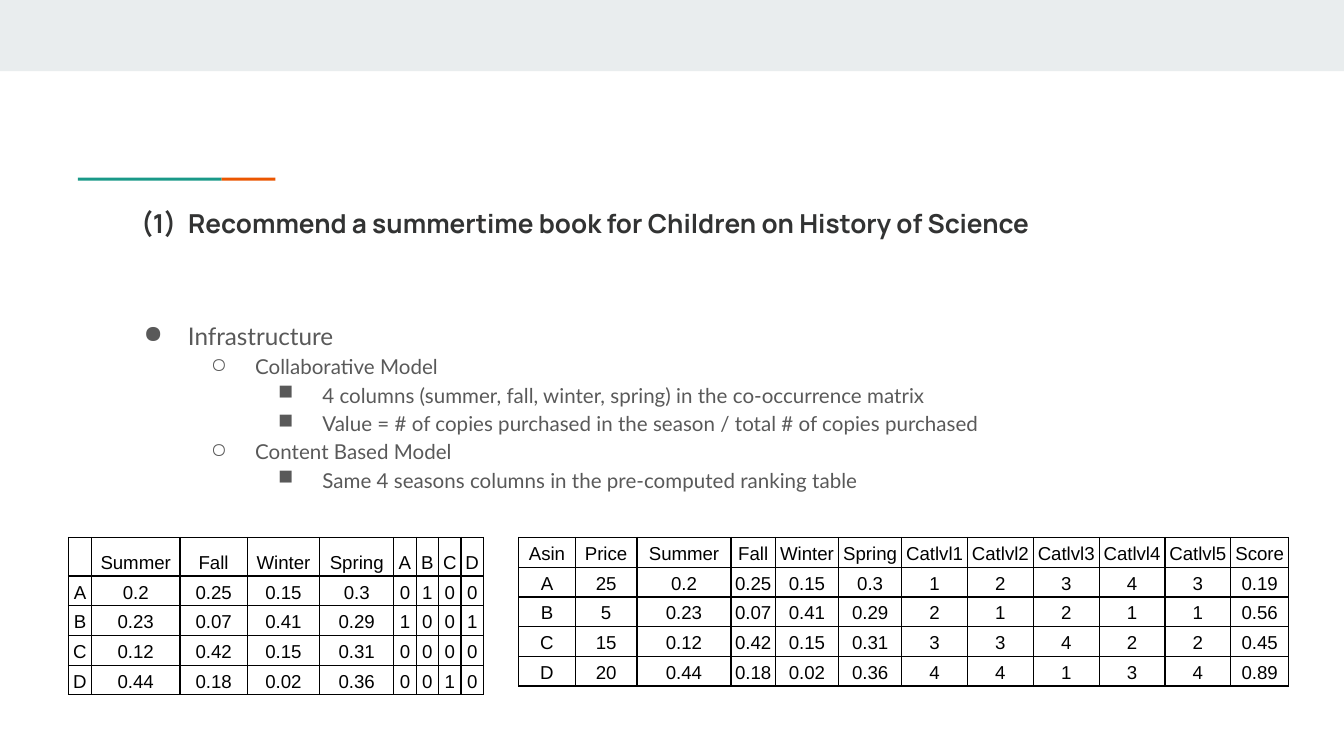
from dataclasses import dataclass

from lxml import etree
from pptx import Presentation
from pptx.dml.color import RGBColor
from pptx.enum.shapes import MSO_SHAPE
from pptx.enum.text import MSO_ANCHOR, MSO_AUTO_SIZE, PP_ALIGN
from pptx.oxml.ns import qn
from pptx.util import Inches, Pt

RECTANGLE = MSO_SHAPE.RECTANGLE
TOP, BOTTOM = MSO_ANCHOR.TOP, MSO_ANCHOR.BOTTOM
NO_AUTOFIT = MSO_AUTO_SIZE.NONE
LEFT, CENTER = PP_ALIGN.LEFT, PP_ALIGN.CENTER


@dataclass(frozen=True)
class Theme:
    band: str = "E9EDEE"
    teal: str = "1A9988"
    orange: str = "EB5600"
    title: str = "323333"
    body: str = "595959"
    table: str = "000000"
    title_font: str = "Manrope"
    body_font: str = "Lato"
    table_font: str = "Arial"
    title_size: int = 14
    topic_size: int = 13
    detail_size: int = 11
    table_size: int = 10
    border_width: float = 0.75
    line_spacing: float = 1.15


theme = Theme()
presentation = Presentation()
presentation.slide_width = Inches(10)
presentation.slide_height = Inches(5.625)

# The grid has 100 columns and 100 rows.
COLUMN = presentation.slide_width / 100
ROW = presentation.slide_height / 100
LEVEL_INDENT = 5
TABLE_TOP = 71.11
TABLE_ROW = 3.93


def grid_box(left, top, width, height):
    """Turn grid columns and rows into left, top, width and height."""
    return int(left * COLUMN), int(top * ROW), int(width * COLUMN), int(height * ROW)


def set_bullet(paragraph, level, hanging, color, tag, **attributes):
    paragraph.level = level
    properties = paragraph._p.get_or_add_pPr()
    properties.set("marL", str(int((level + 1) * LEVEL_INDENT * COLUMN)))
    properties.set("indent", str(int(-hanging * COLUMN)))
    bullet_color = etree.SubElement(properties, qn("a:buClr"))
    etree.SubElement(bullet_color, qn("a:srgbClr"), val=color)
    etree.SubElement(properties, qn(tag), **attributes)


slide = presentation.slides.add_slide(presentation.slide_layouts[5])

# Top band and two-colour rule
for box, color in [
    ((0, 0, 100, 9.43), theme.band),
    ((5.8, 23.5, 10.7, 0.4), theme.teal),
    ((16.5, 23.5, 4, 0.4), theme.orange),
]:
    shape = slide.shapes.add_shape(RECTANGLE, *grid_box(*box))
    shape.shadow.inherit = False
    shape.fill.solid()
    shape.fill.fore_color.rgb = RGBColor.from_string(color)
    shape.line.fill.background()

# Title and outline
title = slide.shapes.title
title.left, title.top, title.width, title.height = grid_box(8, 25.6, 84.1, 10.5)
outline = slide.shapes.add_textbox(*grid_box(8, 40.18, 84.1, 43.9))
for shape in (title, outline):
    frame = shape.text_frame
    frame.word_wrap = True
    frame.auto_size = NO_AUTOFIT
    frame.vertical_anchor = TOP
    frame.margin_left = frame.margin_right = Inches(0.1)
    frame.margin_top = frame.margin_bottom = Inches(0.1)

title.text_frame.text = "Recommend a summertime book for Children on History of Science"
paragraph = title.text_frame.paragraphs[0]
paragraph.alignment = LEFT
set_bullet(paragraph, 0, 3.5, theme.title, "a:buAutoNum", type="arabicParenBoth")
paragraph.font.name = theme.title_font
paragraph.font.size = Pt(theme.title_size)
paragraph.font.bold = True
paragraph.font.color.rgb = RGBColor.from_string(theme.title)

outline_items = [
    (0, "Infrastructure"),
    (1, "Collaborative Model"),
    (2, "4 columns (summer, fall, winter, spring) in the co-occurrence matrix"),
    (2, "Value = # of copies purchased in the season / total # of copies purchased"),
    (1, "Content Based Model"),
    (2, "Same 4 seasons columns in the pre-computed ranking table"),
]
outline.text_frame.text = "\n".join(text for _, text in outline_items)
for paragraph, (level, _) in zip(outline.text_frame.paragraphs, outline_items):
    set_bullet(paragraph, level, 3.3, theme.body, "a:buChar", char="●○■"[level])
    paragraph.line_spacing = theme.line_spacing
    paragraph.font.name = theme.body_font
    paragraph.font.size = Pt(theme.detail_size if level else theme.topic_size)
    paragraph.font.color.rgb = RGBColor.from_string(theme.body)

# Tables: both share the season values of books A to D
season_names = ["Summer", "Fall", "Winter", "Spring"]
seasons = {
    "A": ["0.2", "0.25", "0.15", "0.3"],
    "B": ["0.23", "0.07", "0.41", "0.29"],
    "C": ["0.12", "0.42", "0.15", "0.31"],
    "D": ["0.44", "0.18", "0.02", "0.36"],
}
co_occurrence = {"A": "0100", "B": "1001", "C": "0000", "D": "0010"}
prices = {"A": "25", "B": "5", "C": "15", "D": "20"}
categories = {"A": "12343", "B": "21211", "C": "33422", "D": "44134"}
scores = {"A": "0.19", "B": "0.56", "C": "0.45", "D": "0.89"}

collaborative_rows = [["", *season_names, *seasons]]
ranking_rows = [["Asin", "Price", *season_names,
                 *(f"Catlvl{number}" for number in range(1, 6)), "Score"]]
for book, values in seasons.items():
    collaborative_rows.append([book, *values, *co_occurrence[book]])
    ranking_rows.append([book, prices[book], *values, *categories[book], scores[book]])

for left, header_height, widths, rows in [
    (5.1, 5.1, [1.7, 6.6, 5, 5.4, 5.5] + [1.67] * 4, collaborative_rows),
    (3.86 * 10, TABLE_ROW, [4.2, 4.6, 7, 3.3, 4.7, 4.7] + [4.9] * 5 + [4.3], ranking_rows),
]:
    heights = [header_height] + [TABLE_ROW] * (len(rows) - 1)
    table = slide.shapes.add_table(
        len(rows), len(widths), *grid_box(left, TABLE_TOP, sum(widths), sum(heights))
    ).table
    table.first_row = table.horz_banding = False
    for column, width in zip(table.columns, widths):
        column.width = int(width * COLUMN)
    for row, height, texts in zip(table.rows, heights, rows):
        row.height = int(height * ROW)
        for cell, text in zip(row.cells, texts):
            cell.text = text
            cell.vertical_anchor = BOTTOM
            cell.margin_left = cell.margin_right = Inches(0.03)
            cell.margin_top = cell.margin_bottom = Inches(0.02)
            paragraph = cell.text_frame.paragraphs[0]
            paragraph.alignment = CENTER
            paragraph.line_spacing = theme.line_spacing
            paragraph.font.name = theme.table_font
            paragraph.font.size = Pt(theme.table_size)
            paragraph.font.color.rgb = RGBColor.from_string(theme.table)
            cell_properties = cell._tc.get_or_add_tcPr()
            for side in ("a:lnL", "a:lnR", "a:lnT", "a:lnB"):
                border = etree.SubElement(
                    cell_properties, qn(side), w=str(Pt(theme.border_width)))
                border_fill = etree.SubElement(border, qn("a:solidFill"))
                etree.SubElement(border_fill, qn("a:srgbClr"), val=theme.table)
            cell.fill.background()

presentation.save("out.pptx")
